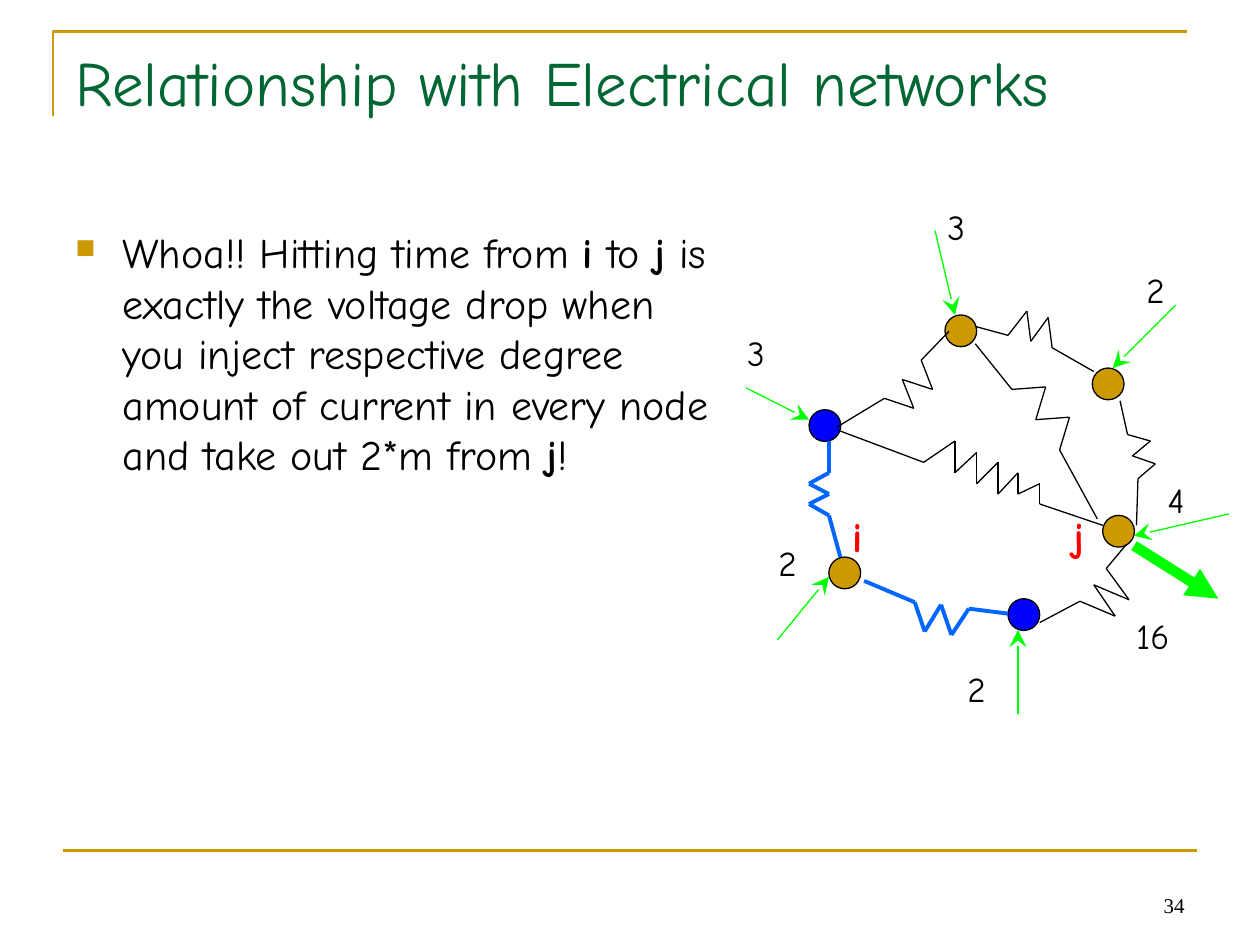
from itertools import pairwise
from typing import NamedTuple

from lxml.etree import SubElement
from pptx import Presentation
from pptx.dml.color import RGBColor
from pptx.enum.shapes import MSO_CONNECTOR, MSO_SHAPE
from pptx.enum.text import MSO_ANCHOR, PP_ALIGN
from pptx.oxml.ns import qn
from pptx.util import Cm, Pt

GOLD = RGBColor(0xCC, 0x99, 0x00)
TITLE_GREEN = RGBColor(0x00, 0x66, 0x33)
CURRENT_GREEN = RGBColor(0x00, 0xFF, 0x00)
NODE_BLUE = RGBColor(0x00, 0x00, 0xFF)
PATH_BLUE = RGBColor(0x00, 0x66, 0xFF)
RED = RGBColor(0xFF, 0x00, 0x00)
BLACK = RGBColor(0x00, 0x00, 0x00)
HAND_FONT = "Comic Neue"
NODE_SIZE = 0.64

Point = tuple[float, float]


class Node(NamedTuple):
    left: float
    top: float
    color: RGBColor = GOLD


class Resistor(NamedTuple):
    points: list[Point]
    color: RGBColor = BLACK
    width: float = 0.75


class Current(NamedTuple):
    start: Point
    end: Point
    width: float = 0.75
    head: str = "stealth"
    head_size: str = "lg"


class Label(NamedTuple):
    text: str
    left: float
    top: float
    width: float = 1.7
    height: float = 1.12
    size: int = 20
    color: RGBColor = BLACK
    bold: bool = False
    font: str = HAND_FONT


NODES = [
    Node(22.02, 7.42),
    Node(19.05, 6.35),
    Node(16.31, 8.26, NODE_BLUE),
    Node(16.71, 11.23),
    Node(20.32, 12.07, NODE_BLUE),
    Node(22.23, 10.39),
]
TOP_TO_J = Resistor([(19.66, 6.93), (20.4, 7.85), (21.08, 7.8), (20.88, 8.46),
                     (21.56, 8.41), (21.36, 9.07), (22.12, 10.46)])
RESISTORS = [
    Resistor([(16.71, 8.89), (16.71, 9.53), (16.31, 9.75), (16.71, 9.96),
              (16.31, 10.16), (16.71, 10.39), (16.94, 11.23)], PATH_BLUE, 2.25),
    Resistor([(20.32, 12.37), (19.53, 12.27), (19.18, 12.8), (18.97, 12.19),
              (18.64, 12.73), (18.44, 12.14), (17.42, 11.71)], PATH_BLUE, 2.25),
    Resistor([(19.13, 6.68), (18.57, 7.26), (18.8, 7.85), (18.19, 7.65),
              (18.42, 8.23), (17.83, 8.03), (16.87, 8.61)]),
    Resistor([(16.94, 8.69), (18.62, 9.32), (19.25, 8.89), (19.25, 9.53),
              (19.69, 9.12), (19.69, 9.75), (20.12, 9.32), (20.12, 9.96),
              (20.52, 9.53), (20.52, 9.96), (20.96, 9.75), (20.96, 10.16),
              (22.23, 10.59)]),
    Resistor([(19.66, 6.58), (20.32, 6.76), (20.7, 6.27), (20.78, 6.88),
              (21.13, 6.4), (21.21, 7.01), (22.05, 7.49)]),
    Resistor([(22.58, 8.08), (22.73, 8.76), (23.19, 8.89), (22.83, 9.19),
              (23.29, 9.35), (22.94, 9.65), (22.91, 10.59)]),
    Resistor([(22.71, 10.97), (22.3, 11.46), (22.76, 12.09), (22.05, 11.79),
              (22.48, 12.42), (21.77, 12.12), (20.96, 12.55)]),
]
CURRENTS = [
    Current((15.04, 7.82), (16.31, 8.46)),
    Current((18.85, 4.65), (19.25, 6.35)),
    Current((15.67, 12.9), (16.71, 11.63)),
    Current((20.52, 14.4), (20.52, 12.7)),
    Current((23.7, 6.15), (22.43, 7.42)),
    Current((22.86, 11), (24.56, 12.07), 6, "triangle", "med"),
    Current((24.77, 10.36), (22.86, 10.8)),
]
LABELS = [
    Label("i", 16.94, 10.16, 1.07, 1.27, 24, RED, True),
    Label("j", 21.39, 10.16, 1.07, 1.27, 24, RED, True),
    Label("3", 18.85, 4.01),
    Label("3", 14.81, 6.55),
    Label("2", 15.44, 10.8),
    Label("2", 19.25, 13.34),
    Label("2", 22.86, 5.28),
    Label("4", 23.29, 9.53),
    Label("16", 22.66, 12.27, 2.34),
]
PAGE_NUMBER = Label("34", 18.21, 17.35, 5.92, 1.27, 12, font="Times New Roman")
TITLE = Label("Relationship with Electrical networks", 1.27, 0.76, 22.86, 3.18,
              36, TITLE_GREEN)
CLAIM = [
    ("Whoa!! Hitting time from ", False), ("i", True), (" to ", False), ("j", True),
    (" is exactly the voltage drop when you inject respective degree amount of "
     "current in every node and take out 2*m from ", False),
    ("j", True), ("!", False),
]


def draw_line(shapes, start: Point, end: Point, color: RGBColor, width: float):
    line = shapes.add_connector(MSO_CONNECTOR.STRAIGHT, *map(Cm, start + end))
    line.line.color.rgb = color
    line.line.width = Pt(width)
    SubElement(line._element.spPr, qn("a:effectLst"))
    return line


def draw_resistor(shapes, resistor: Resistor) -> None:
    for start, end in pairwise(resistor.points):
        draw_line(shapes, start, end, resistor.color, resistor.width)


def draw_current(shapes, current: Current) -> None:
    arrow = draw_line(shapes, current.start, current.end, CURRENT_GREEN, current.width)
    SubElement(arrow.line._get_or_add_ln(), qn("a:tailEnd"), type=current.head,
               w=current.head_size, len=current.head_size)


def draw_node(shapes, node: Node) -> None:
    circle = shapes.add_shape(MSO_SHAPE.OVAL, Cm(node.left), Cm(node.top),
                              Cm(NODE_SIZE), Cm(NODE_SIZE))
    circle.shadow.inherit = False
    circle.fill.solid()
    circle.fill.fore_color.rgb = node.color
    circle.line.color.rgb = BLACK
    circle.line.width = Pt(0.75)


def draw_label(shapes, label: Label):
    frame = shapes.add_textbox(Cm(label.left), Cm(label.top),
                               Cm(label.width), Cm(label.height)).text_frame
    frame.word_wrap = True
    frame.text = label.text
    font = frame.paragraphs[0].runs[0].font
    font.name, font.size, font.bold = label.font, Pt(label.size), label.bold
    font.color.rgb = label.color
    return frame


def draw_claim(shapes) -> None:
    frame = shapes.add_textbox(Cm(1.27), Cm(4.45), Cm(13.34), Cm(12.57)).text_frame
    frame.word_wrap = True
    paragraph = frame.paragraphs[0]
    properties = paragraph._p.get_or_add_pPr()
    properties.set("marL", str(Cm(0.95)))
    properties.set("indent", str(Cm(-0.95)))
    bullet_color = SubElement(properties, qn("a:buClr"))
    SubElement(bullet_color, qn("a:srgbClr"), val=str(GOLD))
    SubElement(properties, qn("a:buSzPct"), val="65000")
    SubElement(properties, qn("a:buChar"), char="■")
    for text, bold in CLAIM:
        run = paragraph.add_run()
        run.text = text
        run.font.name, run.font.size, run.font.bold = HAND_FONT, Pt(24), bold
        run.font.color.rgb = BLACK


def draw_frame(shapes) -> None:
    builder = shapes.build_freeform(Cm(1.07), Cm(2.34))
    builder.add_line_segments([(Cm(1.07), Cm(0.64)), (Cm(23.93), Cm(0.64))], close=False)
    corner = builder.convert_to_shape()
    corner.shadow.inherit = False
    corner.fill.background()
    corner.line.color.rgb = GOLD
    corner.line.width = Pt(1.5)
    draw_line(shapes, (1.27, 17.15), (24.13, 17.15), GOLD, 1.5)


def main() -> None:
    """Build the slide on hitting time and electrical networks."""
    deck = Presentation()
    deck.slide_width, deck.slide_height = Cm(25.4), Cm(19.05)
    shapes = deck.slides.add_slide(deck.slide_layouts[6]).shapes
    draw_frame(shapes)
    page_frame = draw_label(shapes, PAGE_NUMBER)
    page_frame.vertical_anchor = MSO_ANCHOR.BOTTOM
    page_frame.paragraphs[0].alignment = PP_ALIGN.RIGHT
    draw_label(shapes, TITLE)
    draw_claim(shapes)
    draw_resistor(shapes, TOP_TO_J)
    for node in NODES:
        draw_node(shapes, node)
    for resistor in RESISTORS:
        draw_resistor(shapes, resistor)
    for current in CURRENTS:
        draw_current(shapes, current)
    for label in LABELS:
        draw_label(shapes, label)
    deck.save("out.pptx")


if __name__ == "__main__":
    main()
